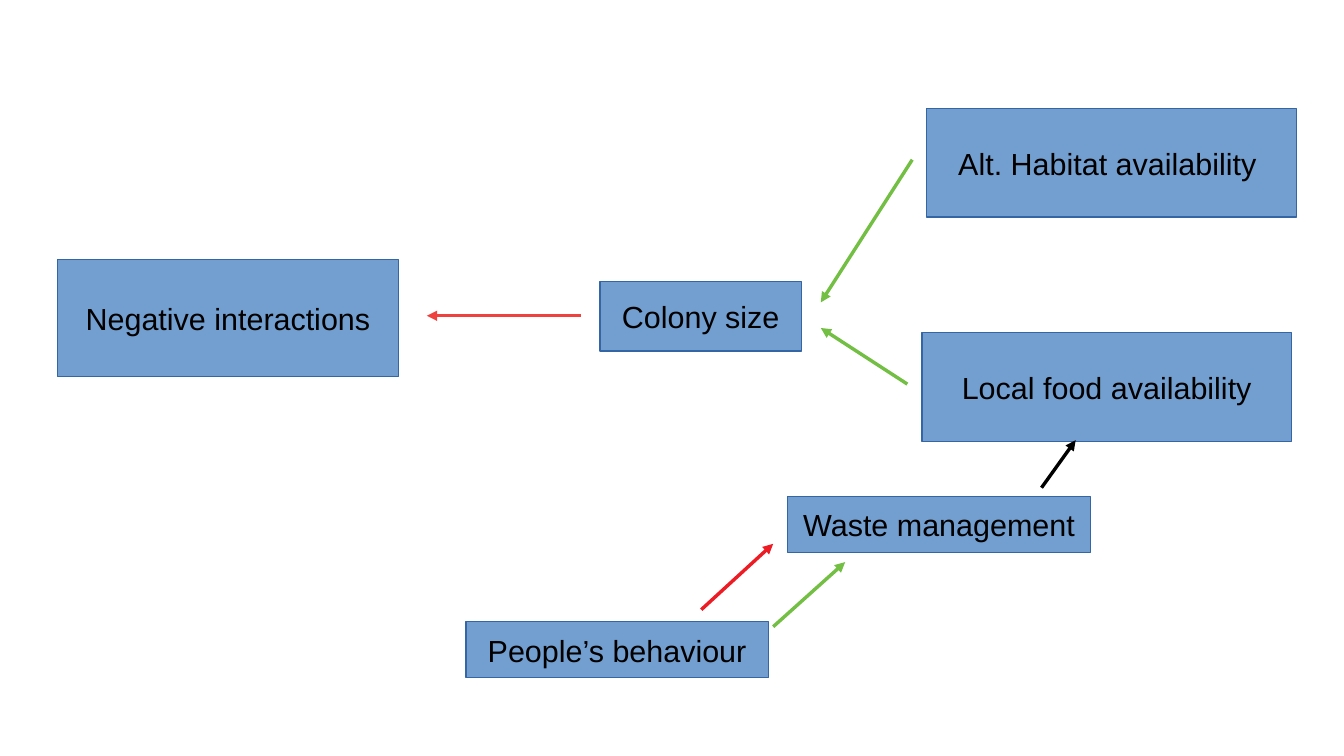
import pptx
import pptx.dml.color
import pptx.enum.shapes
import pptx.enum.text
import pptx.oxml
import pptx.oxml.ns
import pptx.util
from pptx.util import Inches

GREEN, RED, SOFT_RED, BLACK = "72BF44", "ED1C24", "EF413D", "000000"


def color(value):
    return pptx.dml.color.RGBColor.from_string(value)


class Diagram:
    """Holds the style and the current slide."""

    font_name = "Arial"
    font_size = pptx.util.Pt(18)
    hairline = pptx.util.Pt(0)
    box_fill = "729FCF"
    box_line = "3465A4"

    def __init__(self, slide):
        self.slide = slide

    def box(self, text, left, top, width, height):
        shape = self.slide.shapes.add_shape(
            pptx.enum.shapes.MSO_SHAPE.RECTANGLE,
            Inches(left), Inches(top), Inches(width), Inches(height))
        shape.shadow.inherit = False
        shape.fill.solid()
        shape.fill.fore_color.rgb = color(self.box_fill)
        shape.line.color.rgb = color(self.box_line)
        shape.line.width = self.hairline

        frame = shape.text_frame
        frame.word_wrap = False
        frame.vertical_anchor = pptx.enum.text.MSO_ANCHOR.MIDDLE
        paragraph = frame.paragraphs[0]
        paragraph.alignment = pptx.enum.text.PP_ALIGN.CENTER
        run = paragraph.add_run()
        run.text = text
        run.font.name = self.font_name
        run.font.size = self.font_size
        run.font.color.rgb = color(BLACK)

    def arrow(self, start, end, line_color):
        connector = self.slide.shapes.add_connector(
            pptx.enum.shapes.MSO_CONNECTOR.STRAIGHT,
            *(Inches(value) for value in start + end))
        connector.line.color.rgb = color(line_color)
        connector.line.width = self.hairline
        # Arrowhead at the end, and no shadow
        head = pptx.oxml.parse_xml(
            f'<a:tailEnd {pptx.oxml.ns.nsdecls("a")} type="triangle"/>')
        connector.line._get_or_add_ln().append(head)
        effects = pptx.oxml.parse_xml(
            f'<a:effectLst {pptx.oxml.ns.nsdecls("a")}/>')
        connector._element.spPr.append(effects)


def main():
    presentation = pptx.Presentation()
    presentation.slide_width = Inches(11.02)
    presentation.slide_height = Inches(6.2)
    blank_layout = presentation.slide_layouts[6]
    diagram = Diagram(presentation.slides.add_slide(blank_layout))

    # Factors
    availability_size = (3.03, 0.89)
    human_size = (2.48, 0.46)
    diagram.box("Colony size", 4.92, 2.31, 1.65, 0.57)
    diagram.box("Negative interactions", 0.47, 2.13, 2.8, 0.96)
    diagram.box("Alt. Habitat availability ", 7.6, 0.89, *availability_size)
    diagram.box("Local food availability", 7.56, 2.73, *availability_size)
    diagram.box("Waste management", 6.46, 4.07, *human_size)
    diagram.box("People’s behaviour", 3.82, 5.1, *human_size)

    # Influences
    diagram.arrow((4.76, 2.59), (3.5, 2.59), SOFT_RED)   # colony to interactions
    diagram.arrow((7.48, 1.31), (6.73, 2.48), GREEN)     # habitat to colony
    diagram.arrow((7.44, 3.15), (6.73, 2.69), GREEN)     # food to colony
    diagram.arrow((5.75, 5), (6.34, 4.46), RED)          # behaviour to waste
    diagram.arrow((6.34, 5.14), (6.93, 4.61), GREEN)     # behaviour to waste
    diagram.arrow((8.54, 4), (8.82, 3.61), BLACK)        # waste to food

    presentation.save("out.pptx")


if __name__ == "__main__":
    main()
